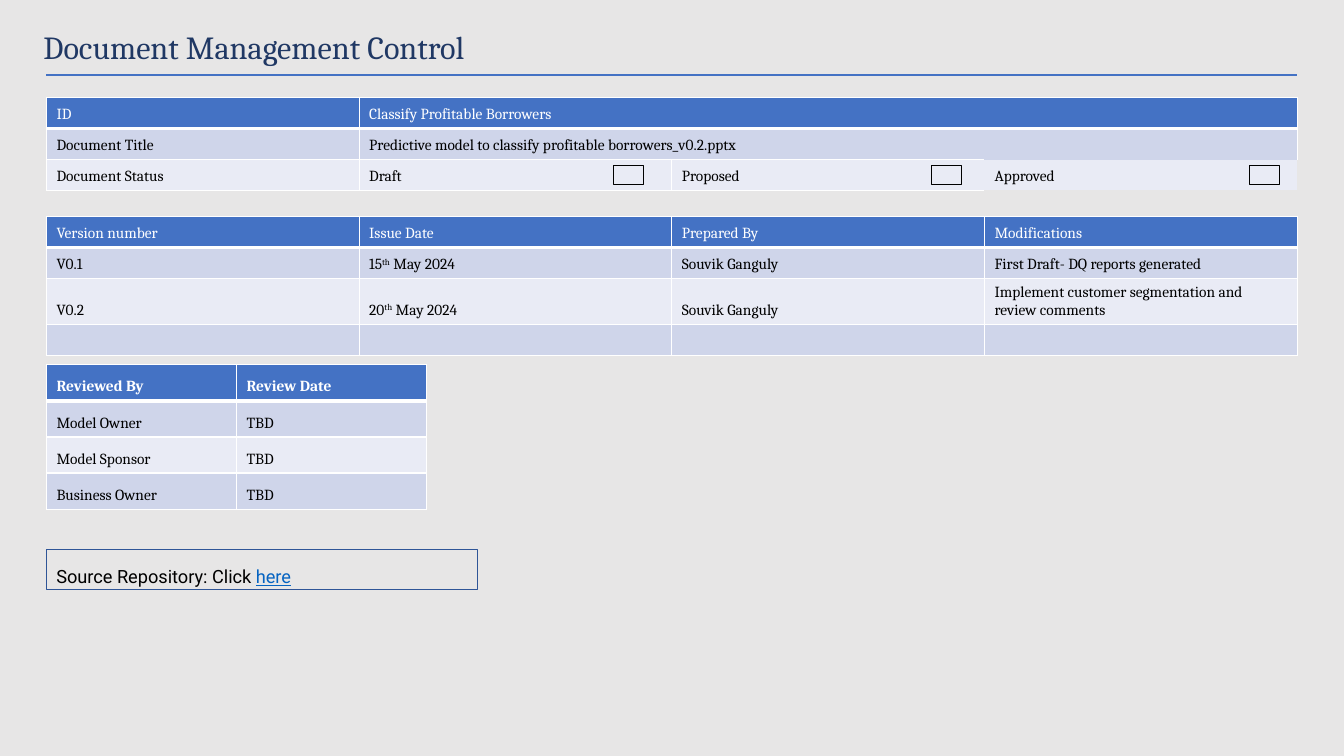
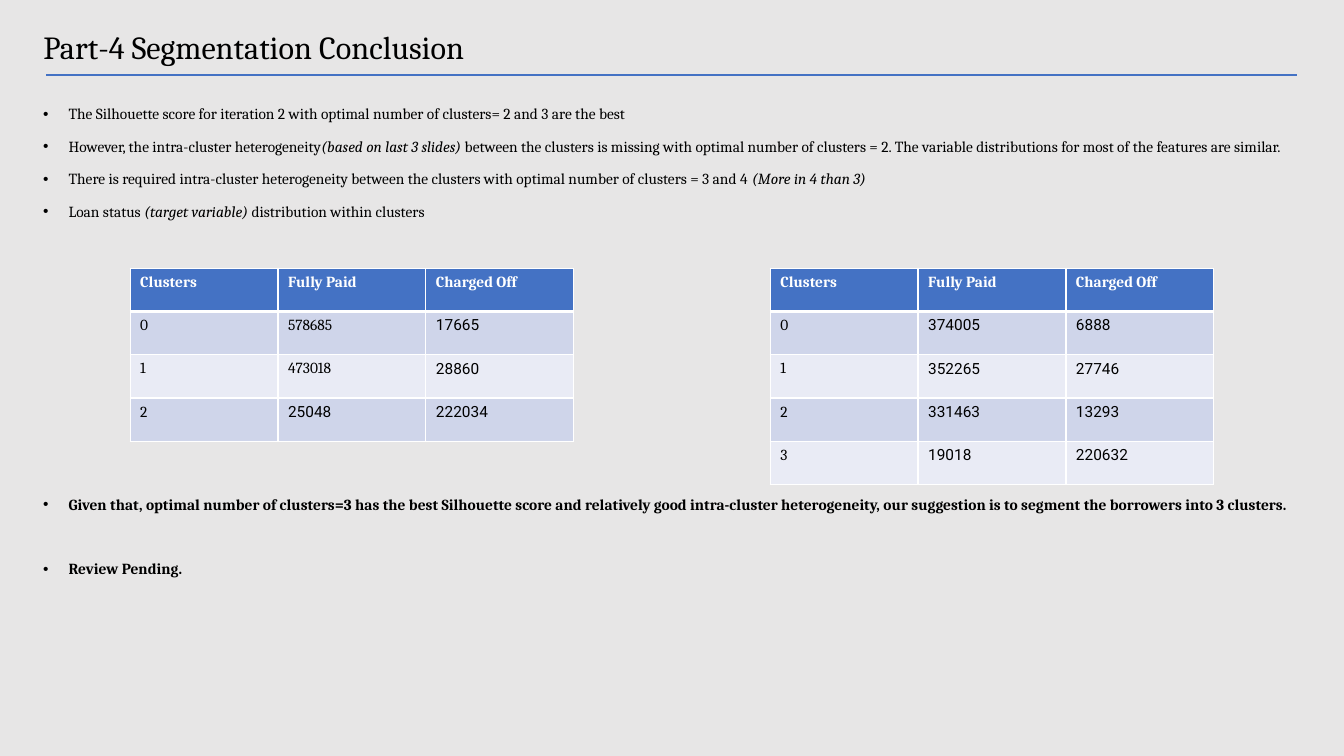
from dataclasses import dataclass
from functools import partial
from typing import Optional, Union

from lxml.etree import SubElement
from pptx import Presentation
from pptx.dml.color import RGBColor
from pptx.enum.shapes import MSO_CONNECTOR as Connector, MSO_SHAPE as Preset
from pptx.enum.text import MSO_ANCHOR as Anchor, MSO_AUTO_SIZE as AutoSize, PP_ALIGN as Align
from pptx.oxml.ns import qn
from pptx.util import Cm, Pt

COLORS = {
    "background": "E7E6E6",
    "accent": "4472C4",
    "navy": "203864",
    "frame": "2F5597",
    "link": "0563C1",
    "band_dark": "CFD5EA",
    "band_light": "E9EBF5",
    "white": "FFFFFF",
    "black": "000000",
}
SERIF, SANS = "Cambria", "Roboto"
BODY_SIZE = 11
LEFT, CONTENT_WIDTH = 1.17, 31.52


@dataclass(frozen=True)
class Run:
    text: str
    font: str = SERIF
    color: str = "black"
    size: float = BODY_SIZE
    bold: bool = False
    italic: bool = False
    underline: bool = False
    baseline: int = 0


Content = Union[str, Run, tuple, None]
sans = partial(Run, font=SANS)
slanted = partial(Run, italic=True)
superscript = partial(Run, baseline=30000)


@dataclass(frozen=True)
class Grid:
    left: float
    top: float
    width: float
    row_height: float
    rows: tuple
    header_bold: bool = True
    anchor: Anchor = Anchor.BOTTOM
    open_edges: tuple = ()


@dataclass(frozen=True)
class Bullet:
    content: Content
    before: float = 10
    bold: bool = False


def rgb(name: str) -> RGBColor:
    return RGBColor.from_string(COLORS[name])


def format_run(run, style: Run) -> None:
    font = run.font
    font.name, font.size = style.font, Pt(style.size)
    font.bold, font.italic, font.underline = style.bold, style.italic, style.underline
    font.color.rgb = rgb(style.color)
    if style.baseline:
        run._r.get_or_add_rPr().set("baseline", str(style.baseline))


def write(paragraph, content: Content, **style) -> None:
    parts = content if isinstance(content, tuple) else (content,)
    for part in parts:
        piece = Run(part, **style) if isinstance(part, str) else part
        run = paragraph.add_run()
        run.text = piece.text
        format_run(run, piece)


def add_titled_slide(deck, title: str, color: str, width: float):
    slide = deck.slides.add_slide(deck.slide_layouts[5])
    heading = slide.shapes.title
    heading.left, heading.top = Cm(0.84), Cm(0.56)
    heading.width, heading.height = Cm(width), Cm(1.24)
    frame = heading.text_frame
    frame.text = title
    frame.word_wrap = True
    frame.auto_size = AutoSize.NONE
    frame.vertical_anchor = Anchor.TOP
    frame.paragraphs[0].alignment = Align.LEFT
    format_run(frame.paragraphs[0].runs[0], Run(title, color=color, size=23))

    rule = slide.shapes.add_connector(
        Connector.STRAIGHT, Cm(LEFT), Cm(1.9), Cm(LEFT + CONTENT_WIDTH), Cm(1.9))
    rule.line.color.rgb = rgb("accent")
    rule.line.width = Pt(1.5)
    SubElement(rule._element.spPr, qn("a:effectLst"))
    return slide


def set_borders(cell, open_edges: str, bottom: float) -> None:
    properties = cell._tc.get_or_add_tcPr()
    for edge in "LRTB":
        width = Pt(bottom if edge == "B" else 1)
        line = SubElement(properties, qn(f"a:ln{edge}"), w=str(width))
        if edge in open_edges:
            SubElement(line, qn("a:noFill"))
        else:
            fill = SubElement(line, qn("a:solidFill"))
            SubElement(fill, qn("a:srgbClr"), val=COLORS["white"])


def add_grid(slide, grid: Grid) -> None:
    row_count, column_count = len(grid.rows), len(grid.rows[0])
    table = slide.shapes.add_table(
        row_count, column_count, Cm(grid.left), Cm(grid.top),
        Cm(grid.width), Cm(grid.row_height * row_count)).table
    for column in table.columns:
        column.width = Cm(grid.width / column_count)
    open_edges = dict(grid.open_edges)
    for r, values in enumerate(grid.rows):
        table.rows[r].height = Cm(grid.row_height)
        is_header = r == 0
        fill = "accent" if is_header else "band_dark" if r % 2 else "band_light"
        for c, value in enumerate(values):
            cell = table.cell(r, c)
            set_borders(cell, open_edges.get((r, c), ""), 3 if is_header else 1)
            cell.fill.solid()
            cell.fill.fore_color.rgb = rgb(fill)
            cell.vertical_anchor = grid.anchor
            paragraph = cell.text_frame.paragraphs[0]
            if value:
                write(paragraph, value, color="white" if is_header else "black",
                      bold=is_header and grid.header_bold)
            else:
                SubElement(paragraph._p, qn("a:endParaRPr"), sz=str(BODY_SIZE * 100))
        if None in values:
            table.cell(r, values.index(None) - 1).merge(table.cell(r, column_count - 1))


def add_frame(slide, left: float, top: float, width: float, height: float,
              line: str = "black"):
    box = slide.shapes.add_shape(
        Preset.RECTANGLE, Cm(left), Cm(top), Cm(width), Cm(height))
    box.shadow.inherit = False
    box.fill.background()
    box.line.color.rgb = rgb(line)
    box.line.width = Pt(0.75)
    return box


def add_bullets(slide, bullets: tuple) -> None:
    frame = slide.shapes.add_textbox(Cm(0.84), Cm(2.51), Cm(32.21), Cm(16.26)).text_frame
    frame.word_wrap = True
    for index, bullet in enumerate(bullets):
        paragraph = frame.add_paragraph() if index else frame.paragraphs[0]
        properties = paragraph._p.get_or_add_pPr()
        properties.set("marL", str(Cm(0.64)))
        properties.set("indent", str(-Cm(0.64)))
        SubElement(properties, qn("a:buFont"), typeface="Arial")
        SubElement(properties, qn("a:buChar"), char="•")
        paragraph.space_before = Pt(bullet.before)
        write(paragraph, bullet.content, bold=bullet.bold)


def build_document_control(deck) -> None:
    slide = add_titled_slide(deck, "Document Management Control", "navy", 27.71)
    control_grid = partial(Grid, LEFT)
    add_grid(slide, control_grid(2.46, CONTENT_WIDTH, 0.78, (
        ("ID", "Classify Profitable Borrowers", None, None),
        ("Document Title", "Predictive model to classify profitable borrowers_v0.2.pptx",
         None, None),
        ("Document Status", "Draft", "Proposed", "Approved"),
    ), header_bold=False, open_edges=(((2, 2), "R"), ((2, 3), "LRTB"))))
    for status in range(3):
        add_frame(slide, 15.47 + 8.01 * status, 4.16, 0.76, 0.48)

    add_grid(slide, control_grid(5.46, CONTENT_WIDTH, 0.78, (
        ("Version number", "Issue Date", "Prepared By", "Modifications"),
        ("V0.1", ("15", superscript("th"), " May 2024"), "Souvik Ganguly",
         "First Draft- DQ reports generated"),
        ("V0.2", ("20", superscript("th"), " May 2024"), "Souvik Ganguly",
         "Implement customer segmentation and review comments"),
        ("", "", "", ""),
    ), header_bold=False))
    add_grid(slide, control_grid(9.19, 9.58, 0.91, (
        ("Reviewed By", "Review Date"),
        ("Model Owner", "TBD"),
        ("Model Sponsor", "TBD"),
        ("Business Owner", "TBD"),
    )))

    repository = add_frame(slide, LEFT, 13.84, 10.87, 1.02, "frame").text_frame
    repository.word_wrap = True
    repository.vertical_anchor = Anchor.TOP
    paragraph = repository.paragraphs[0]
    paragraph.alignment = Align.LEFT
    paragraph.line_spacing = 1.5
    write(paragraph, (sans("Source Repository: Click ", size=13),
                      sans("here", size=13, color="link", underline=True)))


def build_conclusion(deck) -> None:
    slide = add_titled_slide(deck, "Part-4 Segmentation Conclusion", "black", 30.35)
    add_bullets(slide, (
        Bullet("The Silhouette score for iteration 2 with optimal number of clusters= 2 "
               "and 3 are the best", before=0),
        Bullet(("However, the intra-cluster heterogeneity",
                slanted("(based on last 3 slides)"),
                " between the clusters is missing with optimal number of clusters = 2. "
                "The variable distributions for most of the features are similar.")),
        Bullet(("There is required intra-cluster heterogeneity between the clusters with "
                "optimal number of clusters = 3 and 4 ", slanted("(More in 4 than 3)"))),
        Bullet(("Loan status ", slanted("(target variable)"),
                " distribution within clusters")),
        Bullet("Given that, optimal number of clusters=3 has the best Silhouette score and "
               "relatively good intra-cluster heterogeneity, our suggestion is to segment "
               "the borrowers into 3 clusters.", before=196, bold=True),
        Bullet("Review Pending.", before=33, bold=True),
    ))
    header = ("Clusters", "Fully Paid", "Charged Off")
    cluster_grid = partial(Grid, top=6.76, width=11.18, row_height=1.09, anchor=Anchor.TOP)
    add_grid(slide, cluster_grid(3.28, rows=(
        header,
        ("0", "578685", sans("17665")),
        ("1", "473018", sans("28860")),
        ("2", sans("25048"), sans("222034")),
    )))
    add_grid(slide, cluster_grid(19.41, rows=(
        header,
        ("0", sans("374005"), sans("6888")),
        ("1", sans("352265"), sans("27746")),
        ("2", sans("331463"), sans("13293")),
        ("3", sans("19018"), sans("220632")),
    )))


def main() -> None:
    deck = Presentation()
    deck.slide_width, deck.slide_height = Cm(33.87), Cm(19.05)
    backdrop = deck.slide_master.background.fill
    backdrop.solid()
    backdrop.fore_color.rgb = rgb("background")
    build_document_control(deck)
    build_conclusion(deck)
    deck.save("out.pptx")


if __name__ == "__main__":
    main()
